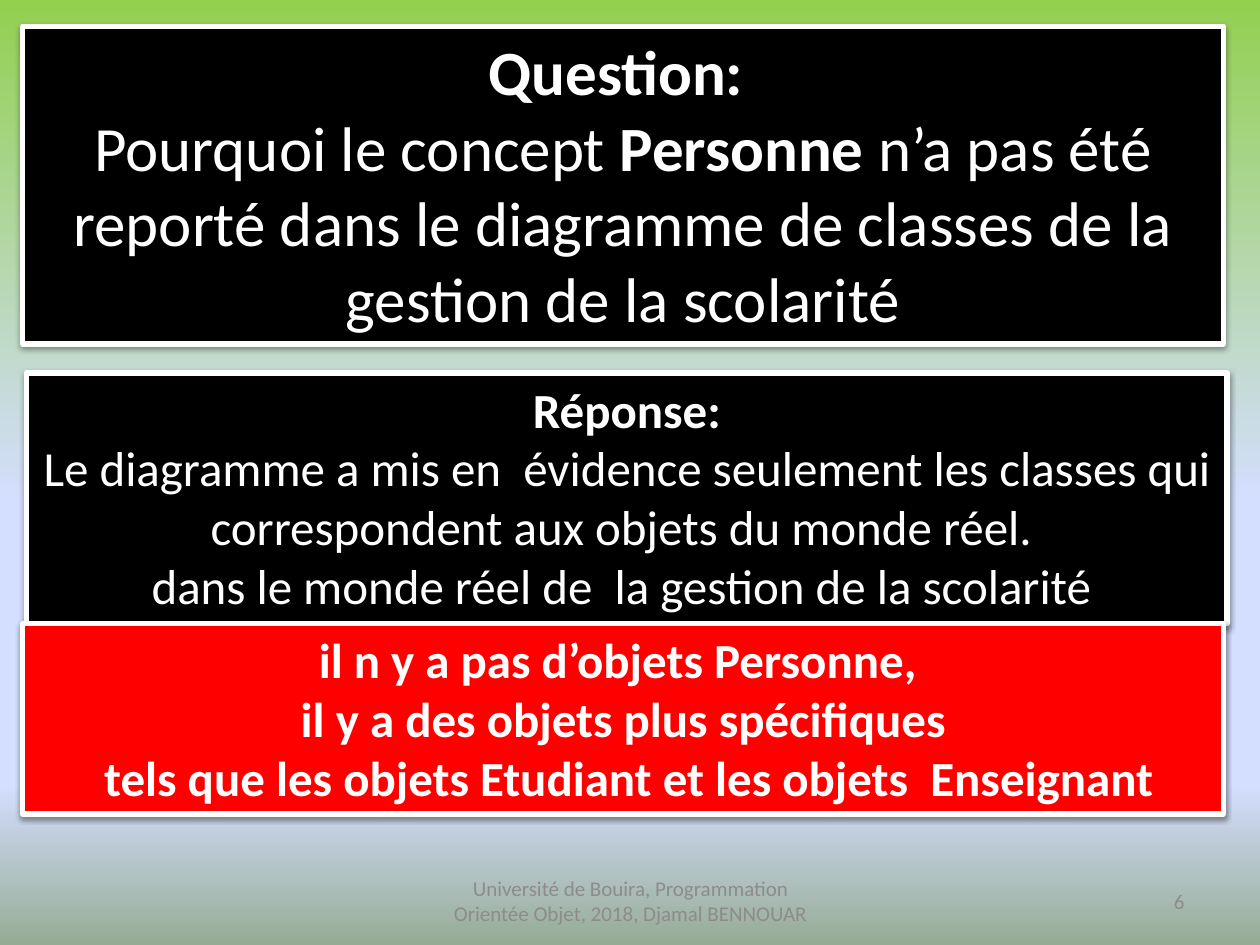
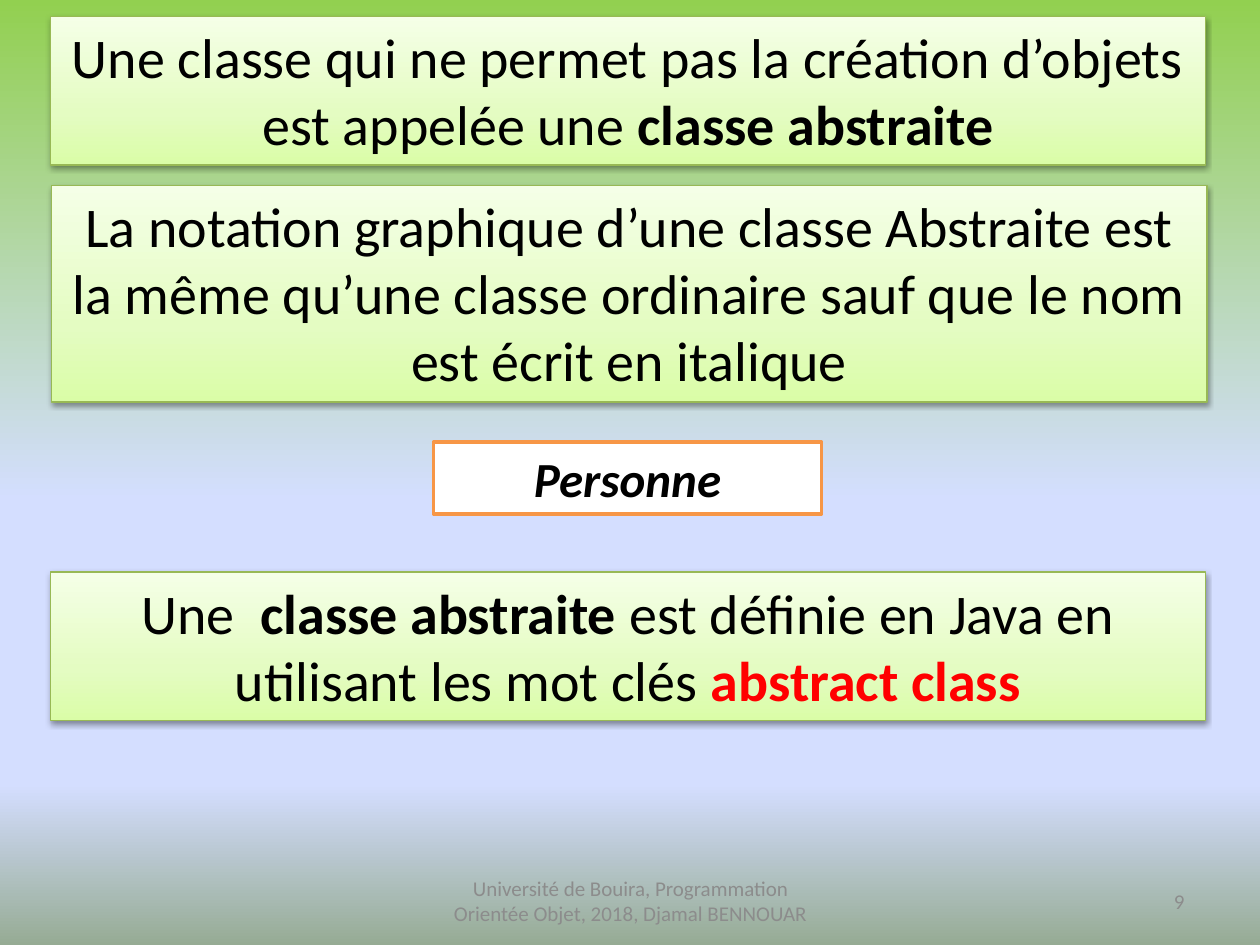
from lxml.etree import SubElement
from pptx import Presentation
from pptx.dml.color import RGBColor
from pptx.enum.shapes import MSO_SHAPE
from pptx.enum.text import MSO_ANCHOR, MSO_AUTO_SIZE, PP_ALIGN
from pptx.oxml.ns import qn
from pptx.util import Inches, Pt

COLOURS = {
    "black": "000000", "white": "FFFFFF", "red": "FF0000",
    "orange": "F79646", "green_line": "98B955", "footer": "8C8C8C",
}
SKY = [(0, "92D050"), (53, "D4DEFF"), (83, "D4DEFF"), (100, "96AB94")]
LIME = [(0, "DAFDA7"), (35, "E4FCC2"), (100, "F5FFE7")]
FOOTER = "Université de Bouira, Programmation Orientée Objet, 2018, Djamal BENNOUAR"
COLUMNS, ROWS = 100, 75


def rgb(name):
    return RGBColor.from_string(COLOURS[name])


class Lesson:
    """Holds the shared style and the slide being filled."""

    def __init__(self):
        self.deck = Presentation()
        self.deck.slide_width, self.deck.slide_height = Inches(10), Inches(7.5)
        self.slide = None

    def new_slide(self, number):
        self.slide = self.deck.slides.add_slide(self.deck.slide_layouts[6])
        self.gradient(self.slide.background.fill, self.slide.element, SKY, 270)
        self.footer(34.2, 31.7, FOOTER, PP_ALIGN.CENTER)
        self.footer(71.7, 23.3, str(number), PP_ALIGN.RIGHT)

    def place(self, left, top, width, height):
        column = self.deck.slide_width / COLUMNS
        row = self.deck.slide_height / ROWS
        return [round(n) for n in (left * column, top * row, width * column, height * row)]

    def gradient(self, fill, owner, stops, angle):
        fill.gradient()
        fill.gradient_angle = angle
        stop_list = next(owner.iter(qn("a:gsLst")))
        for stop in list(stop_list):
            stop_list.remove(stop)
        for share, colour in stops:
            stop = SubElement(stop_list, qn("a:gs"), pos=str(share * 1000))
            SubElement(stop, qn("a:srgbClr"), val=colour)

    def shadow(self, panel):
        effects = next(panel.element.iter(qn("a:effectLst")))
        outer = SubElement(effects, qn("a:outerShdw"), blurRad=str(Pt(3.1)),
                           dist=str(Pt(1.6)), dir="5400000", rotWithShape="0")
        black = SubElement(outer, qn("a:srgbClr"), val=COLOURS["black"])
        SubElement(black, qn("a:alpha"), val="38000")

    def fill_text(self, frame, paragraphs, size, colour, align=PP_ALIGN.CENTER):
        """Each paragraph is a list of (text, style) or (text, style, colour)."""
        frame.word_wrap = True
        for index, pieces in enumerate(paragraphs):
            paragraph = frame.add_paragraph() if index else frame.paragraphs[0]
            paragraph.alignment = align
            for text, style, *own_colour in pieces:
                run = paragraph.add_run()
                run.text = text
                run.font.name, run.font.size = "Calibri", Pt(size)
                run.font.bold, run.font.italic = "b" in style, "i" in style
                run.font.color.rgb = rgb(own_colour[0] if own_colour else colour)

    def footer(self, left, width, text, align):
        box = self.slide.shapes.add_textbox(*self.place(left, 69.5, width, 4))
        box.text_frame.vertical_anchor = MSO_ANCHOR.MIDDLE
        self.fill_text(box.text_frame, [[(text, "")]], 12, "footer", align)

    def panel(self, area, paragraphs, size, colour, fill, line, line_width, shadow=True):
        panel = self.slide.shapes.add_shape(MSO_SHAPE.RECTANGLE, *self.place(*area))
        panel.shadow.inherit = False
        if fill == "lime":
            self.gradient(panel.fill, panel.element, LIME, 90)
        else:
            panel.fill.solid()
            panel.fill.fore_color.rgb = rgb(fill)
        panel.line.color.rgb, panel.line.width = rgb(line), Pt(line_width)
        if shadow:
            self.shadow(panel)
        panel.text_frame.vertical_anchor = MSO_ANCHOR.TOP
        self.fill_text(panel.text_frame, paragraphs, size, colour)
        panel.text_frame.auto_size = MSO_AUTO_SIZE.SHAPE_TO_FIT_TEXT

    def board(self, left, top, height, paragraphs, size, fill="black"):
        self.panel((left, top, 95.3, height), paragraphs, size, "white", fill, "white", 3)

    def definition(self, left, top, height, *pieces):
        self.panel((left, top, 91.7, height), [pieces], 32, "black", "lime", "green_line", 0.75)


def question_slide(lesson):
    lesson.new_slide(6)
    lesson.board(1.8, 2.1, 25.2, [
        [("Question: ", "b")],
        [("Pourquoi le concept ", ""), ("Personne ", "b"),
         ("n’a pas été reporté dans le diagramme de classes de la gestion de la scolarité", "")],
    ], 36)
    lesson.board(2.1, 29.6, 19.9, [
        [("Réponse:", "b")],
        [("Le diagramme a mis en  évidence seulement les classes qui "
          "correspondent aux objets du monde réel. ", "")],
        [("dans le monde réel de  la gestion de la scolarité ", "")],
    ], 28)
    lesson.board(1.8, 49.5, 15.1, [
        [("il n y a pas d’objets Personne, ", "b")],
        [("il y a des objets plus spécifiques", "b")],
        [(" tels que les objets Etudiant et les objets  Enseignant", "b")],
    ], 28, "red")


def abstract_class_slide(lesson):
    lesson.new_slide(9)
    # Class box with its name in italics
    lesson.panel((34.4, 35.1, 30.8, 5.7), [[("Personne", "bi")]], 28,
                 "black", "white", "orange", 2, shadow=False)
    # Definition, notation and Java keywords
    lesson.definition(4, 1.3, 11.8,
                      ("Une classe qui ne permet pas la création d’objets est appelée une ", ""),
                      ("classe abstraite", "b"))
    lesson.definition(4.1, 14.7, 17.2,
                      ("La notation graphique d’une classe Abstraite est la même qu’une classe "
                       "ordinaire sauf que le nom est écrit en italique", ""))
    lesson.definition(4, 45.4, 11.8,
                      ("Une  ", ""), ("classe abstraite ", "b"),
                      ("est définie en Java en utilisant les mot clés ", ""),
                      ("abstract class", "b", "red"))


def main():
    lesson = Lesson()
    question_slide(lesson)
    abstract_class_slide(lesson)
    lesson.deck.save("out.pptx")


if __name__ == "__main__":
    main()
